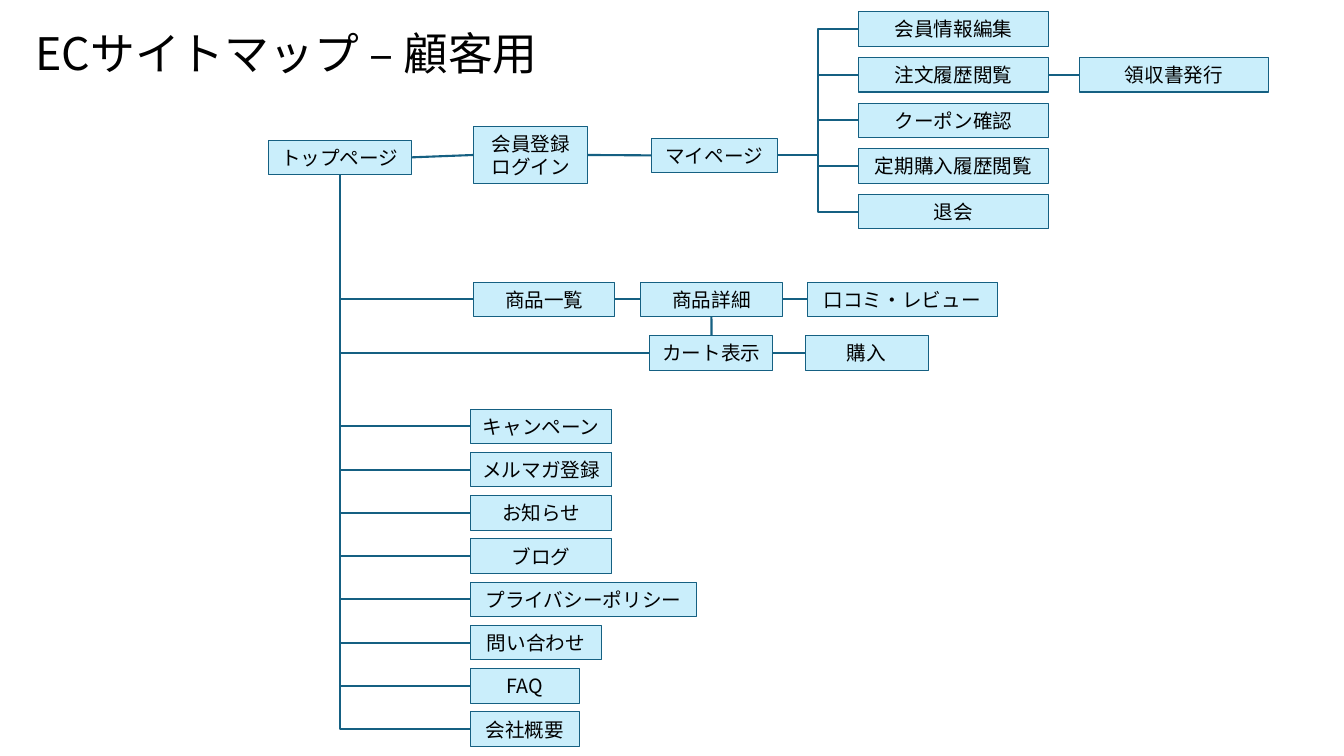
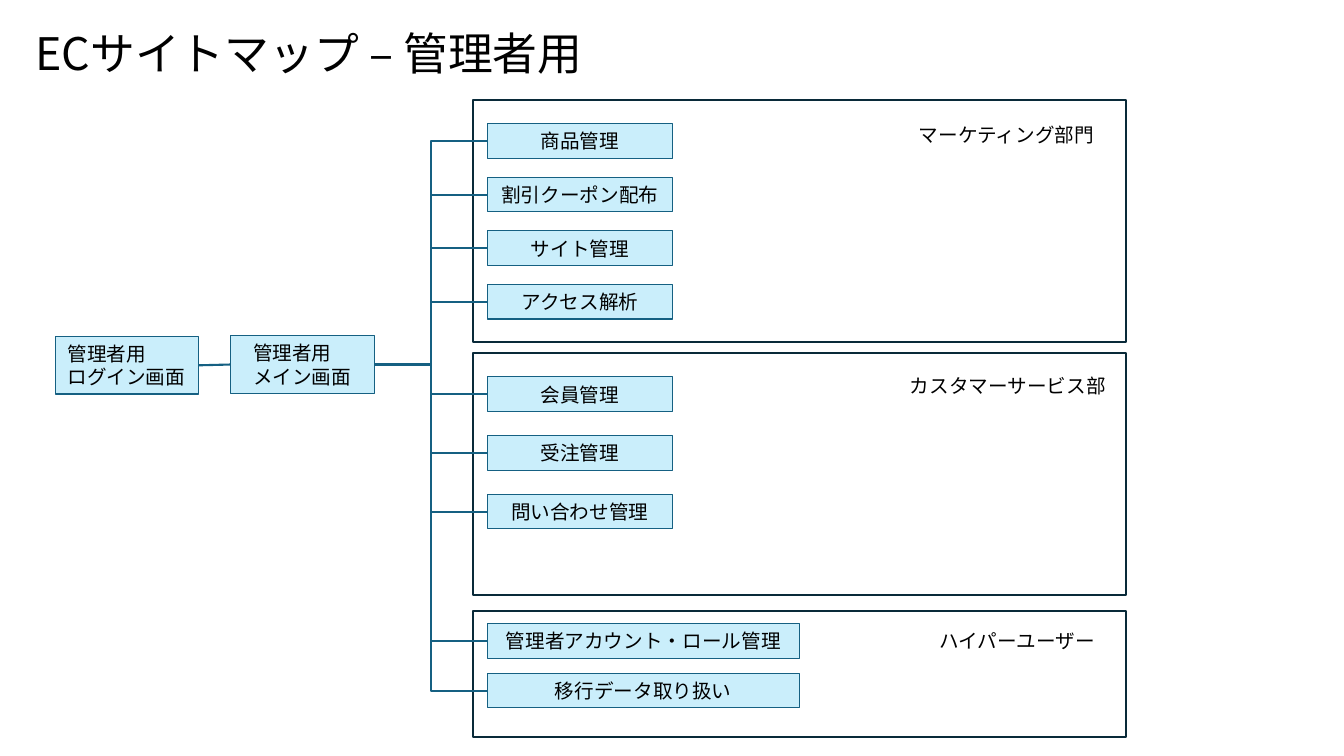
from lxml import etree
from pptx import Presentation
from pptx.dml.color import RGBColor
from pptx.enum.shapes import MSO_CONNECTOR, MSO_SHAPE
from pptx.enum.text import MSO_ANCHOR, MSO_AUTO_SIZE, PP_ALIGN
from pptx.oxml.ns import qn
from pptx.util import Cm, Pt

RECTANGLE = MSO_SHAPE.RECTANGLE
STRAIGHT, ELBOW = MSO_CONNECTOR.STRAIGHT, MSO_CONNECTOR.ELBOW
LEFT, CENTER = PP_ALIGN.LEFT, PP_ALIGN.CENTER
TOP_SIDE, LEFT_SIDE, BOTTOM_SIDE, RIGHT_SIDE = range(4)

COLORS = {"text": "000000", "box": "CAEEFB", "line": "156082", "frame": "092A39"}
FONT = "Noto Sans CJK JP"
ROW_HEIGHT, DOUBLE_HEIGHT = 0.87, 1.45


def write_text(shape, text, size=14, spacing=16.8, align=LEFT):
    shape.text_frame.text = text
    for para in shape.text_frame.paragraphs:
        para.alignment = align
        para.line_spacing = Pt(spacing)
        para.font.size = Pt(size)
        para.font.name = FONT
        para.font.color.rgb = RGBColor.from_string(COLORS["text"])
        east_asian = etree.SubElement(para.font._element, qn("a:ea"))
        east_asian.set("typeface", FONT)


def add_box(page, text, left, top, width, height=ROW_HEIGHT, links=(), indent=None):
    """Draw a page box and its links, each (kind, other box, its side, own side).

    With an indent the text is left-aligned, otherwise centred.
    """
    box = page.shapes.add_shape(RECTANGLE, Cm(left), Cm(top), Cm(width), Cm(height))
    box.shadow.inherit = False
    box.fill.solid()
    box.fill.fore_color.rgb = RGBColor.from_string(COLORS["box"])
    box.line.color.rgb = RGBColor.from_string(COLORS["line"])
    box.line.width = Pt(0.75)
    frame = box.text_frame
    frame.word_wrap = True
    frame.auto_size = MSO_AUTO_SIZE.SHAPE_TO_FIT_TEXT
    frame.vertical_anchor = MSO_ANCHOR.MIDDLE
    if indent is not None:
        frame.margin_left = Cm(indent)
    write_text(box, text, align=CENTER if indent is None else LEFT)

    for kind, other, other_side, own_side in links:
        link = page.shapes.add_connector(kind, 0, 0, 0, 0)
        link.begin_connect(box, own_side)
        link.end_connect(other, other_side)
        link.line.color.rgb = RGBColor.from_string(COLORS["line"])
        link.line.width = Pt(1.5)
        properties = link._element.spPr
        etree.SubElement(properties, qn("a:effectLst"))
        if kind == ELBOW and other_side == BOTTOM_SIDE:
            # A single corner: sideways from this box, then up to the other one
            properties.find(qn("a:prstGeom")).set("prst", "bentConnector2")
    return box


deck = Presentation()
deck.slide_width, deck.slide_height = Cm(33.87), Cm(19.05)

pages = []
for title in ("ECサイトマップ – 顧客用", "ECサイトマップ – 管理者用"):
    page = deck.slides.add_slide(deck.slide_layouts[6])
    title_box = page.shapes.add_textbox(Cm(0.56), Cm(0.46), Cm(31.55), Cm(2.13))
    frame = title_box.text_frame
    frame.word_wrap = True
    frame.margin_left = frame.margin_right = Cm(0.33)
    frame.margin_top = frame.margin_bottom = Cm(0.33)
    write_text(title_box, title, size=32, spacing=34.6)
    pages.append(page)
customer_page, admin_page = pages

# Customer site: the path to the member's own page
top_page = add_box(customer_page, "トップページ", 6.76, 3.53, 3.61)
login = add_box(customer_page, "会員登録\nログイン", 11.94, 3.18, 2.87, DOUBLE_HEIGHT,
                [(STRAIGHT, top_page, RIGHT_SIDE, LEFT_SIDE)])
my_page = add_box(customer_page, "マイページ", 16.41, 3.48, 3.18,
                  links=[(STRAIGHT, login, RIGHT_SIDE, LEFT_SIDE)])

member_names = ["会員情報編集", "注文履歴閲覧", "クーポン確認", "定期購入履歴閲覧", "退会"]
member_boxes = [
    add_box(customer_page, name, 21.64, 0.3 + 1.15 * row, 4.78,
            links=[(ELBOW, my_page, RIGHT_SIDE, LEFT_SIDE)])
    for row, name in enumerate(member_names)
]
add_box(customer_page, "領収書発行", 27.2, 1.45, 4.78,
        links=[(STRAIGHT, member_boxes[1], RIGHT_SIDE, LEFT_SIDE)])

# Customer site: products and cart
from_top = (ELBOW, top_page, BOTTOM_SIDE, LEFT_SIDE)
products = add_box(customer_page, "商品一覧", 11.94, 7.11, 3.56, links=[from_top])
detail = add_box(customer_page, "商品詳細", 16.15, 7.11, 3.56,
                 links=[(STRAIGHT, products, RIGHT_SIDE, LEFT_SIDE)])
add_box(customer_page, "口コミ・レビュー", 20.35, 7.11, 4.78,
        links=[(STRAIGHT, detail, RIGHT_SIDE, LEFT_SIDE)])
cart = add_box(customer_page, "カート表示", 16.38, 8.46, 3.1,
               links=[from_top, (STRAIGHT, detail, BOTTOM_SIDE, TOP_SIDE)])
add_box(customer_page, "購入", 20.29, 8.46, 3.1,
        links=[(STRAIGHT, cart, RIGHT_SIDE, LEFT_SIDE)])

# Customer site: information pages
information = [
    ("キャンペーン", 3.56), ("メルマガ登録", 3.56), ("お知らせ", 3.56), ("ブログ", 3.56),
    ("プライバシーポリシー", 5.69), ("問い合わせ", 3.3), ("FAQ", 2.74), ("会社概要", 2.74),
]
for row, (name, width) in enumerate(information):
    add_box(customer_page, name, 11.86, 10.31 + 1.09 * row, width, links=[from_top])

# Administration site: one frame per department
admin_login = add_box(admin_page, "管理者用\nログイン画面", 1.4, 8.48, 3.61, DOUBLE_HEIGHT,
                      indent=0.3)
admin_main = add_box(admin_page, "管理者用\nメイン画面", 5.82, 8.46, 3.61, DOUBLE_HEIGHT,
                     [(STRAIGHT, admin_login, RIGHT_SIDE, LEFT_SIDE)], indent=0.56)

# label, label left, top and width, frame top and height, first row, row step, box width, boxes
departments = [
    ("マーケティング部門", 22.91, 2.97, 5, 2.51, 6.1, 3.12, 1.35, 4.65,
     ["商品管理", "割引クーポン配布", "サイト管理", "アクセス解析"]),
    ("カスタマーサービス部", 22.68, 9.3, 5.51, 8.89, 6.1, 9.5, 1.48, 4.65,
     ["会員管理", "受注管理", "問い合わせ管理"]),
    ("ハイパーユーザー", 23.42, 15.72, 4.5, 15.39, 3.18, 15.72, 1.25, 7.85,
     ["管理者アカウント・ロール管理", "移行データ取り扱い"]),
]
for (label, label_left, label_top, label_width, top, height,
     first_row, step, box_width, names) in departments:
    outline = admin_page.shapes.add_shape(RECTANGLE, Cm(11.91), Cm(top), Cm(16.46), Cm(height))
    outline.shadow.inherit = False
    outline.fill.background()
    outline.line.color.rgb = RGBColor.from_string(COLORS["frame"])
    outline.line.width = Pt(1.5)

    label_box = admin_page.shapes.add_textbox(
        Cm(label_left), Cm(label_top), Cm(label_width), Cm(ROW_HEIGHT))
    label_box.text_frame.word_wrap = False
    label_box.text_frame.auto_size = MSO_AUTO_SIZE.SHAPE_TO_FIT_TEXT
    write_text(label_box, label)

    for row, name in enumerate(names):
        add_box(admin_page, name, 12.29, first_row + step * row, box_width,
                links=[(ELBOW, admin_main, RIGHT_SIDE, LEFT_SIDE)])

deck.save("out.pptx")
